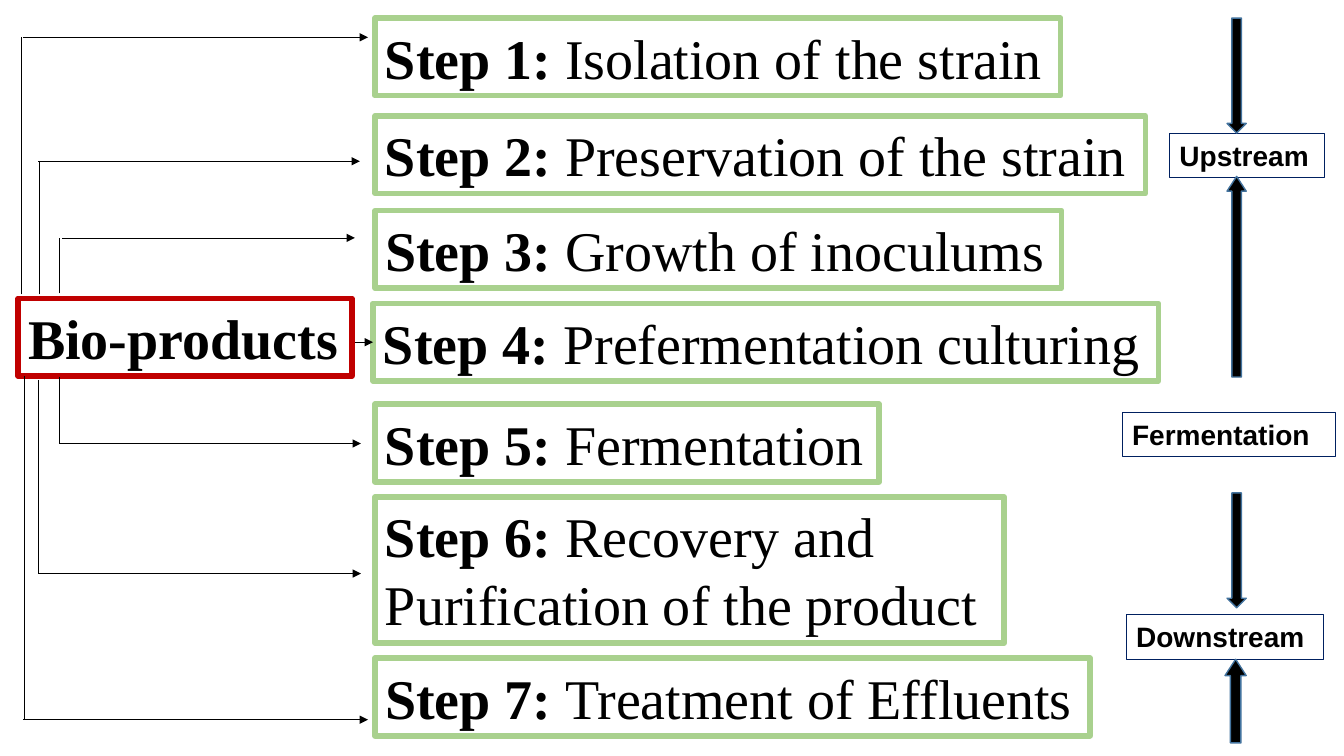
from pptx import Presentation
from pptx.dml.color import RGBColor
from pptx.enum.shapes import MSO_CONNECTOR, MSO_SHAPE
from pptx.enum.text import MSO_AUTO_SIZE
from pptx.oxml.ns import qn
from pptx.util import Inches, Pt
from lxml import etree

STRAIGHT = MSO_CONNECTOR.STRAIGHT
DOWN_ARROW = MSO_SHAPE.DOWN_ARROW
GROW = MSO_AUTO_SIZE.SHAPE_TO_FIT_TEXT
BLACK = RGBColor(0x00, 0x00, 0x00)
GREEN = RGBColor(0xA9, 0xD1, 0x8E)
RED = RGBColor(0xC0, 0x00, 0x00)
NAVY = RGBColor(0x00, 0x20, 0x60)
BLUE = RGBColor(0x43, 0x73, 0x9E)

STEP_LEFT = 3.72
ROW = 0.77          # height of a one-line step
LABEL_HEIGHT = 0.44

prs = Presentation()
prs.slide_width, prs.slide_height = Inches(13.33), Inches(7.5)
slide = prs.slides.add_slide(prs.slide_layouts[6])


def add_box(place, bold_text, plain_text, font, size, border, weight, wrap):
    box = slide.shapes.add_textbox(*map(Inches, place))
    box.line.color.rgb = border
    box.line.width = Pt(weight)
    frame = box.text_frame
    frame.word_wrap = wrap
    frame.auto_size = GROW
    paragraph = frame.paragraphs[0]
    paragraph.font.name = font
    paragraph.font.size = Pt(size)
    paragraph.font.color.rgb = BLACK
    for text, bold in ((bold_text, True), (plain_text, False)):
        if text:
            run = paragraph.add_run()
            run.text = text
            run.font.bold = bold
    return box


def add_line(x1, y1, x2, y2, weight=0.5, arrow=False):
    line = slide.shapes.add_connector(STRAIGHT, *map(Inches, (x1, y1, x2, y2)))
    line.line.color.rgb = BLACK
    line.line.width = Pt(weight)
    if arrow:
        etree.SubElement(line.line._get_or_add_ln(), qn("a:tailEnd"), type="triangle")
    etree.SubElement(line._element.spPr, qn("a:effectLst"))
    return line


# Steps: left, top, width, height, text
steps = [
    (STEP_LEFT, 0.18, 6.8, ROW, "Isolation of the strain"),
    (STEP_LEFT, 1.15, 7.64, ROW, "Preservation of the strain"),
    (STEP_LEFT, 2.09, 6.81, ROW, "Growth of inoculums"),
    (3.7, 3.01, 7.79, ROW, "Prefermentation culturing"),
    (STEP_LEFT, 4.01, 5, ROW, "Fermentation"),
    (STEP_LEFT, 4.93, 6.24, 1.45, "Recovery and Purification of the product"),
    (STEP_LEFT, 6.53, 7.09, ROW, "Treatment of Effluents"),
]
step_boxes = []
for number, (*place, text) in enumerate(steps, 1):
    step_boxes.append(add_box(place, f"Step {number}: ", text, "Times New Roman", 40,
                              GREEN, 4, wrap=place[3] > ROW))

add_box((0.18, 2.96, 3.31, ROW), "Bio-products", "", "Times New Roman", 40, RED, 4, wrap=False)

# Branches from Bio-products: stem x, stem start y, arrow start x, arrow y, arrow tip x
branches = [
    (0.21, 2.92, 0.23, 0.37, 3.65),
    (0.39, 2.92, 0.38, 1.6, 3.57),
    (0.59, 2.91, 0.62, 2.36, 3.52),
    (0.24, 3.73, 0.23, 7.14, 3.65),
    (0.38, 3.77, 0.39, 5.69, 3.58),
    (0.59, 3.74, 0.59, 4.4, 3.58),
]
for stem_x, stem_y, arrow_x, arrow_y, tip_x in branches:
    add_line(stem_x, stem_y, stem_x, arrow_y)
    add_line(arrow_x, arrow_y, tip_x, arrow_y, arrow=True)

step_4_left, step_4_top = steps[3][:2]
step_4_middle = step_4_top + ROW / 2
step_4_arrow = add_line(3.52, step_4_middle, step_4_left, step_4_middle, 0.75, arrow=True)
step_4_arrow.end_connect(step_boxes[3], 1)

# Process stages
for left, top, width, stage in [
    (11.6, 1.32, 1.54, "Upstream"),
    (11.13, 4.09, 2.12, "Fermentation"),
    (11.17, 6.1, 1.96, "Downstream"),
]:
    add_box((left, top, width, LABEL_HEIGHT), stage, "", "Arial", 20, NAVY, 0.75, wrap=True)

# Block arrows pointing at the stages: left, top, width, height, points up
for *place, points_up in [
    (12.17, 0.18, 0.19, 1.14, False),
    (12.17, 1.75, 0.19, 1.99, True),
    (12.17, 4.89, 0.19, 1.14, False),
    (12.15, 6.54, 0.21, 0.83, True),
]:
    stage_arrow = slide.shapes.add_shape(DOWN_ARROW, *map(Inches, place))
    stage_arrow.shadow.inherit = False
    stage_arrow.fill.solid()
    stage_arrow.fill.fore_color.rgb = BLACK
    stage_arrow.line.color.rgb = BLUE
    stage_arrow.line.width = Pt(1)
    if points_up:
        stage_arrow.rotation = 180
        stage_arrow.adjustments[1] = 0.77

prs.save("out.pptx")
